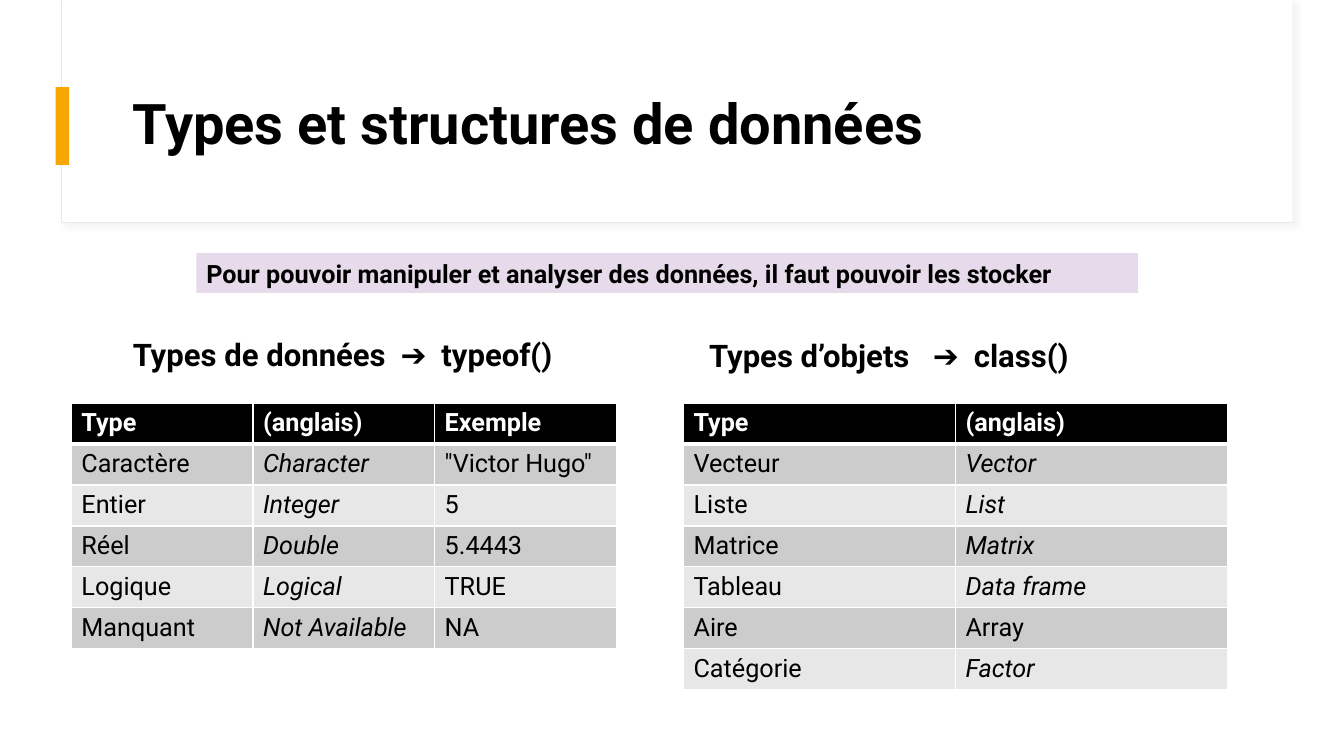
from dataclasses import dataclass

from lxml import etree
from pptx import Presentation
from pptx.dml.color import RGBColor
from pptx.enum.shapes import MSO_SHAPE
from pptx.enum.text import MSO_ANCHOR, PP_ALIGN
from pptx.oxml import parse_xml
from pptx.oxml.ns import nsdecls, qn
from pptx.util import Emu, Pt

RECT = MSO_SHAPE.RECTANGLE
TOP, MIDDLE, BOTTOM = MSO_ANCHOR.TOP, MSO_ANCHOR.MIDDLE, MSO_ANCHOR.BOTTOM
LEFT = PP_ALIGN.LEFT
PX = 9525  # EMU per px, 96 px to the inch


@dataclass(frozen=True)
class Theme:
    font: str = "Roboto"
    ink: str = "000000"
    paper: str = "FFFFFF"
    frame: str = "E9E9E9"
    shadow: str = "D9D9D9"
    accent: str = "F5A700"
    banner: str = "E7DAEA"
    bands: tuple = ("CCCCCC", "E7E7E7")
    title_size: float = 40
    heading_size: float = 22.2
    body_size: float = 18


class SlideBuilder:
    def __init__(self, slide, theme):
        self.shapes = slide.shapes
        self.theme = theme

    def style(self, p, size, color, bold=True, italic=False):
        p.alignment = LEFT
        for r in p.runs:
            r.font.name = self.theme.font
            r.font.size = Pt(size)
            r.font.bold = bold
            r.font.italic = italic
            r.font.color.rgb = RGBColor.from_string(color)

    def rect(self, box, fill, line=None):
        sp = self.shapes.add_shape(RECT, *(Emu(v * PX) for v in box))
        sp.shadow.inherit = False
        sp.fill.solid()
        sp.fill.fore_color.rgb = RGBColor.from_string(fill)
        if line:
            sp.line.color.rgb = RGBColor.from_string(line)
            sp.line.width = Pt(0.75)
        else:
            sp.line.fill.background()
        return sp

    def drop_shadow(self, sp):
        effects = sp.element.spPr.find(qn("a:effectLst"))
        effects.append(parse_xml(
            f'<a:outerShdw {nsdecls("a")} blurRad="{Pt(4)}" dist="{Pt(3)}" dir="2700000">'
            f'<a:srgbClr val="{self.theme.shadow}"><a:alpha val="30000"/></a:srgbClr>'
            '</a:outerShdw>'))

    def set_text(self, sp, text, size, anchor):
        tf = sp.text_frame
        tf.word_wrap = True
        tf.vertical_anchor = anchor
        tf.text = text
        p = tf.paragraphs[0]
        self.style(p, size, self.theme.ink)
        return p

    def text(self, box, text, size, anchor, tabs=()):
        sp = self.shapes.add_textbox(*(Emu(v * PX) for v in box))
        p = self.set_text(sp, text, size, anchor)
        p.line_spacing = 0.9
        if tabs:
            p.space_before = Pt(10)
            tab_list = etree.SubElement(p._p.get_or_add_pPr(), qn("a:tabLst"))
            for x in tabs:
                etree.SubElement(tab_list, qn("a:tab"), pos=str(x * PX), algn="l")

    def borders(self, cell, row):
        widths = {"L": 1, "R": 1, "T": 3 if row == 1 else 1, "B": 3 if row == 0 else 1}
        tcPr = cell._tc.get_or_add_tcPr()
        for side, width in widths.items():
            tcPr.append(parse_xml(
                f'<a:ln{side} {nsdecls("a")} w="{Pt(width)}"><a:solidFill>'
                f'<a:srgbClr val="{self.theme.paper}"/></a:solidFill></a:ln{side}>'))

    def table(self, left, top, col_width, row_height, rows, upright=()):
        th = self.theme
        n_rows, n_cols = len(rows), len(rows[0])
        box = (left, top, col_width * n_cols, row_height * n_rows)
        table = self.shapes.add_table(n_rows, n_cols, *(Emu(v * PX) for v in box)).table
        table.horz_banding = False
        for i, row in enumerate(rows):
            header = i == 0
            for j, value in enumerate(row):
                cell = table.cell(i, j)
                cell.text = value
                italic = j == 1 and not header and value not in upright
                self.style(cell.text_frame.paragraphs[0], th.body_size,
                           th.paper if header else th.ink, header, italic)
                self.borders(cell, i)
                cell.fill.solid()
                fill = th.ink if header else th.bands[(i - 1) % 2]
                cell.fill.fore_color.rgb = RGBColor.from_string(fill)


DATA_TYPES = [
    ("Type", "(anglais)", "Exemple"),
    ("Caractère", "Character", '"Victor Hugo"'),
    ("Entier", "Integer", "5"),
    ("Réel", "Double", "5.4443"),
    ("Logique", "Logical", "TRUE"),
    ("Manquant", "Not Available", "NA"),
]
OBJECT_TYPES = [
    ("Type", "(anglais)"),
    ("Vecteur", "Vector"),
    ("Liste", "List"),
    ("Matrice", "Matrix"),
    ("Tableau", "Data frame"),
    ("Aire", "Array"),
    ("Catégorie", "Factor"),
]


def main():
    prs = Presentation()
    prs.slide_width, prs.slide_height = Emu(1280 * PX), Emu(720 * PX)
    theme = Theme()
    s = SlideBuilder(prs.slides.add_slide(prs.slide_layouts[6]), theme)

    # Title panel
    panel = s.rect((59, 0, 1172, 212), theme.paper, theme.frame)
    s.drop_shadow(panel)
    s.rect((60, 0, 1171, 211), theme.paper)
    s.rect((53, 83, 13, 74), theme.accent)
    s.text((117, 58, 1068, 124), "Types et structures de données", theme.title_size, MIDDLE)

    # Banner
    banner = s.rect((187, 241, 897, 38), theme.banner)
    s.set_text(banner, "Pour pouvoir manipuler et analyser des données, il faut pouvoir les stocker",
               theme.body_size, TOP)

    # Headings: the arrow and the function name sit on tab stops
    for left, top, arrow, text in (
        (117, 319, 255, "Types de données\t➔\ttypeof()"),
        (666, 320, 213, "Types d’objets\t➔\tclass()"),
    ):
        s.text((left, top, 518, 41), text, theme.heading_size, BOTTOM, (arrow, arrow + 39))

    # Tables
    s.table(68, 384, 173, 39, DATA_TYPES)
    s.table(651, 384, 259, 39, OBJECT_TYPES, upright=("Array",))

    prs.save("out.pptx")


if __name__ == "__main__":
    main()
